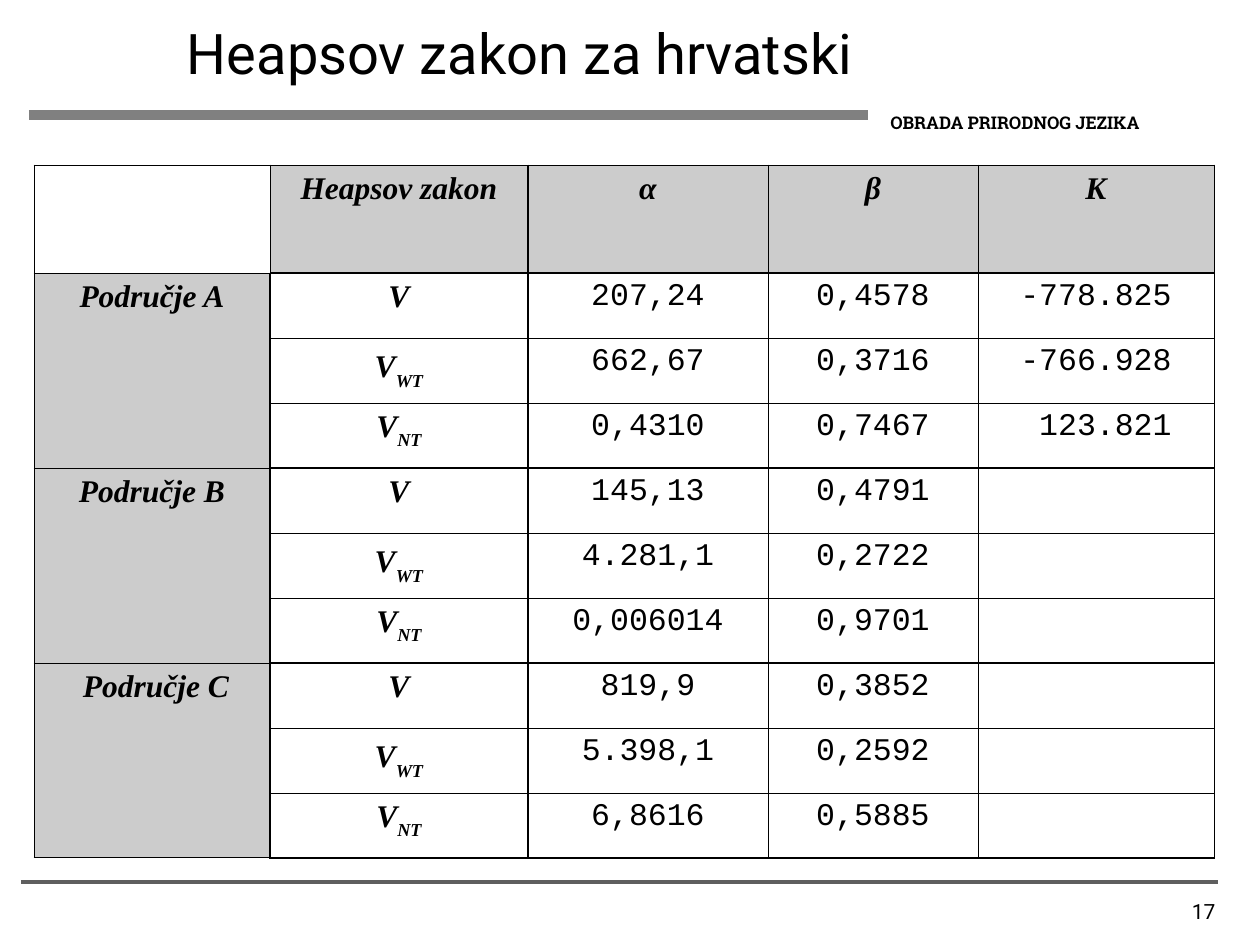
import dataclasses

import pptx
import pptx.dml.color
import pptx.enum.shapes
import pptx.enum.text
import pptx.oxml
import pptx.oxml.ns
import pptx.util

EMU_PER_PX = 914400 / 126
ALIGN = pptx.enum.text.PP_ALIGN
ANCHOR = pptx.enum.text.MSO_ANCHOR


@dataclasses.dataclass(frozen=True)
class Theme:
    ink: str = "000000"
    header_rule: str = "808080"
    footer_rule: str = "5F5F5F"
    shade: str = "CCCCCC"
    title_font: str = "Roboto"
    course_font: str = "Roboto Slab"
    label_font: str = "Times New Roman"
    value_font: str = "Courier New"
    title_size: int = 32
    course_size: int = 10
    number_size: int = 12
    table_size: int = 18
    thin: float = 0.45
    thick: float = 0.96


THEME = Theme()
COLUMN_WIDTHS = [236, 258, 240, 210, 236]
HEADER_HEIGHT, ROW_HEIGHT = 108, 65
HEADINGS = ["Heapsov zakon", "α", "β", "K"]
MEASURES = ["", "WT", "NT"]
AREAS = {
    "Područje A": [("207,24", "0,4578", "-778.825"),
                   ("662,67", "0,3716", "-766.928"),
                   ("0,4310", "0,7467", " 123.821")],
    "Područje B": [("145,13", "0,4791", ""),
                   ("4.281,1", "0,2722", ""),
                   ("0,006014", "0,9701", "")],
    " Područje C": [("819,9", "0,3852", ""),
                    ("5.398,1", "0,2592", ""),
                    ("6,8616", "0,5885", "")],
}


def px(length):
    return pptx.util.Emu(round(length * EMU_PER_PX))


def rgb(value):
    return pptx.dml.color.RGBColor.from_string(value)


def add_run(paragraph, text, font, size, bold=False, italic=False):
    run = paragraph.add_run()
    run.text = text
    run.font.name = font
    run.font.size = pptx.util.Pt(size)
    run.font.bold = bold
    run.font.italic = italic
    run.font.color.rgb = rgb(THEME.ink)
    return run


def add_rule(slide, left, top, width, color, weight):
    rule = slide.shapes.add_connector(
        pptx.enum.shapes.MSO_CONNECTOR.STRAIGHT,
        px(left), px(top), px(left + width), px(top))
    rule.line.color.rgb = rgb(color)
    rule.line.width = pptx.util.Pt(weight)
    pptx.oxml.ns.qn("a:effectLst")
    rule.element.spPr.append(pptx.oxml.parse_xml(
        f'<a:effectLst {pptx.oxml.ns.nsdecls("a")}/>'))


def add_caption(slide, left, top, width, height, text, font, size, align, bold=False):
    caption = slide.shapes.add_textbox(px(left), px(top), px(width), px(height))
    caption.text_frame.word_wrap = True
    paragraph = caption.text_frame.paragraphs[0]
    paragraph.alignment = align
    add_run(paragraph, text, font, size, bold)


def add_header(slide, left, top, width):
    title = slide.shapes.title
    title.left, title.top = px(left + 13), px(top)
    title.width, title.height = px(956), px(105)
    title.text_frame.vertical_anchor = ANCHOR.MIDDLE
    paragraph = title.text_frame.paragraphs[0]
    paragraph.alignment = ALIGN.CENTER
    add_run(paragraph, "Heapsov zakon za hrvatski", THEME.title_font, THEME.title_size)
    add_rule(slide, left, top + 115, width, THEME.header_rule, 6)
    add_caption(slide, left + width + 10, top + 106, 314, 34, "OBRADA PRIRODNOG JEZIKA",
                THEME.course_font, THEME.course_size, ALIGN.LEFT, bold=True)


def add_footer(slide, left, top, width):
    add_rule(slide, left, top, width, THEME.footer_rule, 2.25)
    add_caption(slide, left + width - 252, top + 10, 262, 53, "17",
                THEME.title_font, THEME.number_size, ALIGN.RIGHT)


def set_borders(cell, weights):
    properties = cell._tc.get_or_add_tcPr()
    for side, weight in zip("LRTB", weights):
        properties.append(pptx.oxml.parse_xml(
            f'<a:ln{side} {pptx.oxml.ns.nsdecls("a")} w="{pptx.util.Pt(weight)}">'
            f'<a:solidFill><a:srgbClr val="{THEME.ink}"/></a:solidFill></a:ln{side}>'))


def border_weights(row, column):
    def vertical(edge):
        return THEME.thick if edge == 2 or (edge == 1 and row > 0) else THEME.thin

    def horizontal(edge):
        return THEME.thick if column > 0 and edge % 3 == 1 else THEME.thin

    return vertical(column), vertical(column + 1), horizontal(row), horizontal(row + 1)


def style_cell(cell, row, column):
    set_borders(cell, border_weights(row, column))
    if (row == 0) != (column == 0):
        cell.fill.solid()
        cell.fill.fore_color.rgb = rgb(THEME.shade)
    else:
        cell.fill.background()


def write_cell(cell, text, font, emphasis=False, subscript=""):
    paragraph = cell.text_frame.paragraphs[0]
    paragraph.alignment = ALIGN.CENTER
    if text:
        add_run(paragraph, text, font, THEME.table_size, emphasis, emphasis)
    if subscript:
        run = add_run(paragraph, subscript, font, THEME.table_size, emphasis, emphasis)
        run.font._element.set("baseline", "-30000")


def add_heaps_table(slide, left, top):
    row_count = 1 + len(AREAS) * len(MEASURES)
    height = HEADER_HEIGHT + (row_count - 1) * ROW_HEIGHT
    table = slide.shapes.add_table(row_count, len(COLUMN_WIDTHS), px(left), px(top),
                                   px(sum(COLUMN_WIDTHS)), px(height)).table
    table.first_row = False
    table.horz_banding = False
    for column, width in zip(table.columns, COLUMN_WIDTHS):
        column.width = px(width)
    for index, row in enumerate(table.rows):
        row.height = px(ROW_HEIGHT if index else HEADER_HEIGHT)
        for column, cell in enumerate(row.cells):
            style_cell(cell, index, column)

    for column, heading in enumerate(HEADINGS, 1):
        write_cell(table.cell(0, column), heading, THEME.label_font, True)
    for group, (area, results) in enumerate(AREAS.items()):
        first = 1 + group * len(MEASURES)
        area_cell = table.cell(first, 0)
        area_cell.merge(table.cell(first + len(MEASURES) - 1, 0))
        write_cell(area_cell, area, THEME.label_font, True)
        for row, (measure, values) in enumerate(zip(MEASURES, results), first):
            measure_cell = table.cell(row, 1)
            write_cell(measure_cell, "V", THEME.label_font, True, measure)
            if measure == "WT":
                measure_cell.vertical_anchor = ANCHOR.MIDDLE
            for column, value in enumerate(values, 2):
                write_cell(table.cell(row, column), value, THEME.value_font)


def main():
    presentation = pptx.Presentation()
    presentation.slide_width, presentation.slide_height = px(1260), px(945)
    slide = presentation.slides.add_slide(presentation.slide_layouts[5])
    add_header(slide, 29, 0, 839)
    add_heaps_table(slide, 34, 165)
    add_footer(slide, 21, 882, 1197)
    presentation.save("out.pptx")


if __name__ == "__main__":
    main()
